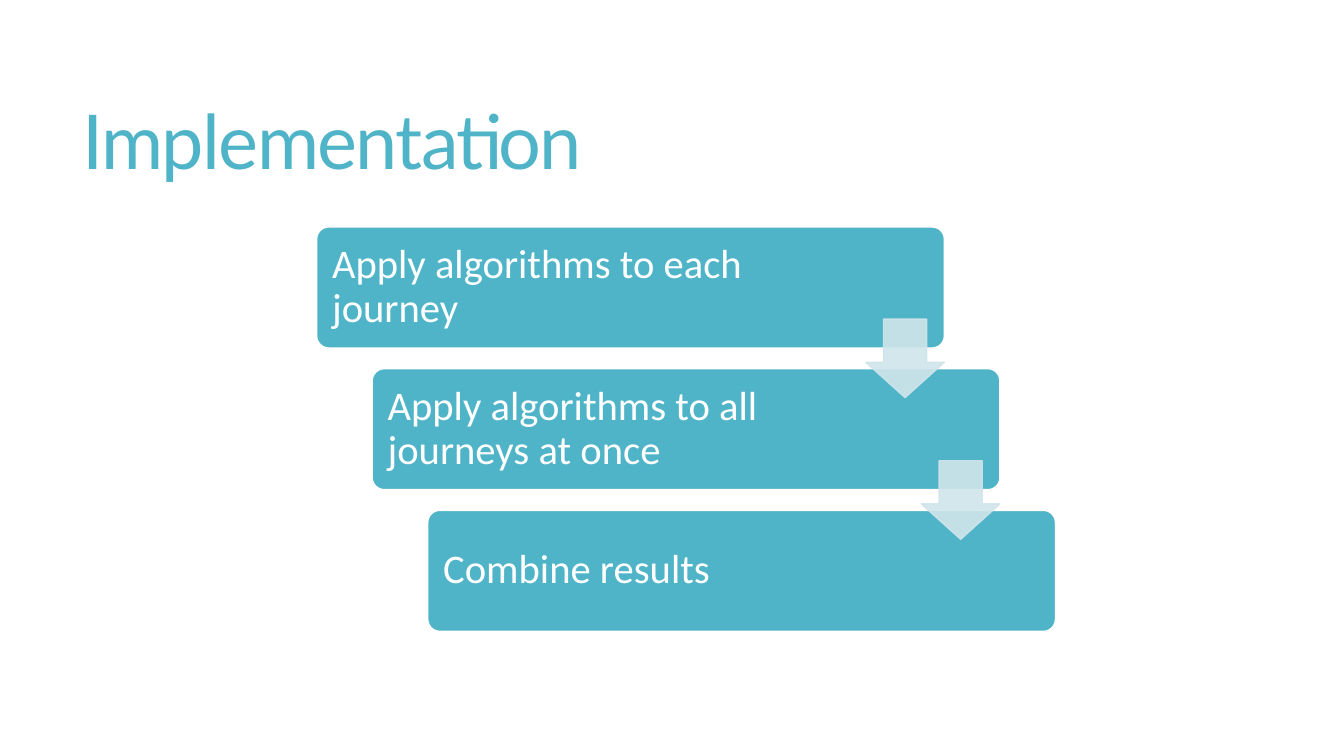
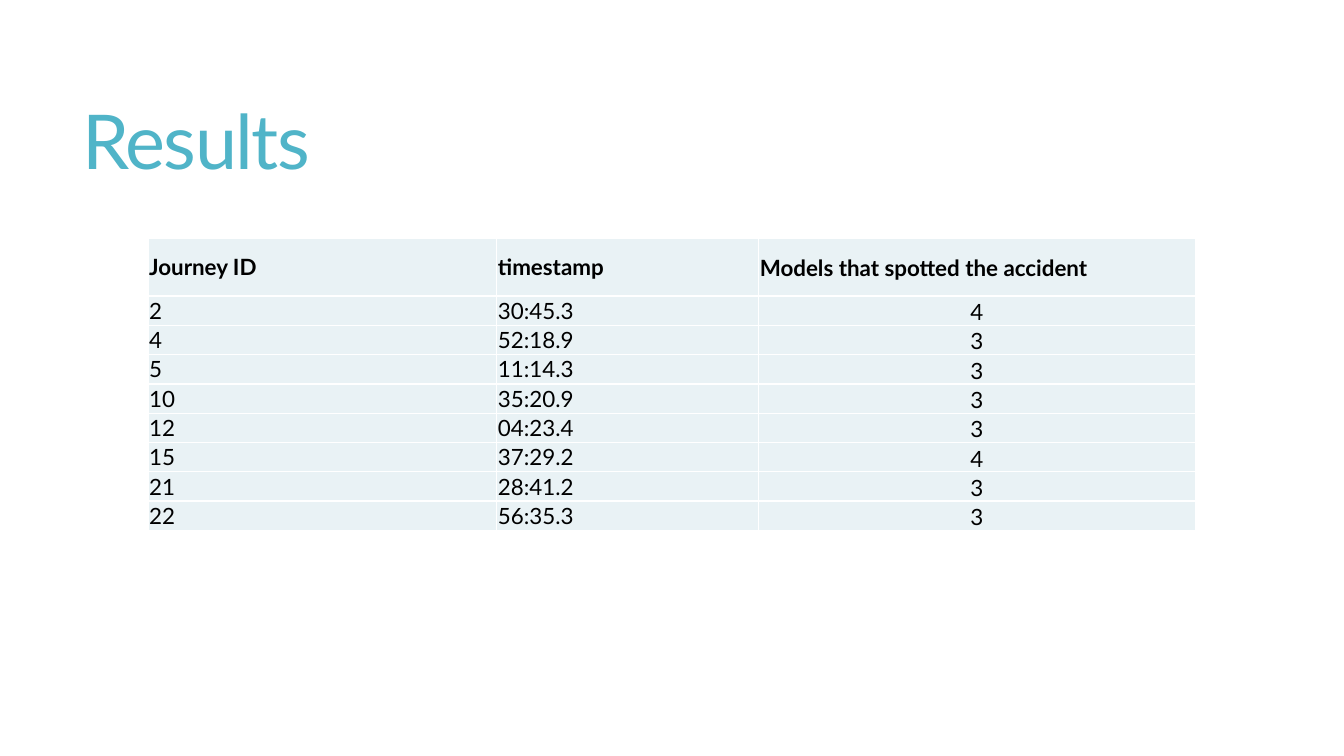
from dataclasses import dataclass

from lxml import etree
from pptx import Presentation, util as u
from pptx.dml.color import RGBColor
from pptx.enum import shapes, text
from pptx.oxml.ns import qn

STEPS = [
    "Apply algorithms to each journey",
    "Apply algorithms to all journeys at once",
    "Combine results",
]
HEADER = ("Journey ID", "timestamp", "Models that spotted the accident")
ACCIDENTS = [
    ("2", "30:45.3", "4"),
    ("4", "52:18.9", "3"),
    ("5", "11:14.3", "3"),
    ("10", "35:20.9", "3"),
    ("12", "04:23.4", "3"),
    ("15", "37:29.2", "4"),
    ("21", "28:41.2", "3"),
    ("22", "56:35.3", "3"),
]


@dataclass(frozen=True)
class Theme:
    accent: str = "50B4C8"
    pale: str = "D0E5EB"
    cell: str = "E9F2F5"
    white: str = "FFFFFF"
    ink: str = "000000"
    heading_font: str = "Lato"
    step_font: str = "Calibri"
    title_size: int = 54
    step_size: int = 29
    table_size: int = 16
    line_width: int = 1


THEME = Theme()


def style(para, font, size, color, bold=False):
    para.font.name = font
    para.font.size = u.Pt(size)
    para.font.bold = bold
    para.font.color.rgb = RGBColor.from_string(color)


def set_margins(frame, left, top, right, bottom):
    frame.margin_left, frame.margin_top = u.Cm(left), u.Cm(top)
    frame.margin_right, frame.margin_bottom = u.Cm(right), u.Cm(bottom)


def add_titled_slide(deck, title):
    page = deck.slides.add_slide(deck.slide_layouts[6])
    box = page.shapes.add_textbox(u.Cm(1.83), u.Cm(1.4), u.Cm(29.92), u.Cm(4.6))
    frame = box.text_frame
    frame.word_wrap = True
    frame.vertical_anchor = text.MSO_ANCHOR.MIDDLE
    para = frame.paragraphs[0]
    para.line_spacing = 0.85
    style(para, THEME.heading_font, THEME.title_size, THEME.accent)
    span = para.add_run()
    span.text = title
    span._r.get_or_add_rPr().set("spc", "-120")
    return page


def add_block(page, kind, left, top, width, height, adjustments, fill, line):
    block = page.shapes.add_shape(kind, u.Cm(left), u.Cm(top), u.Cm(width), u.Cm(height))
    block.shadow.inherit = False
    for index, value in enumerate(adjustments):
        block.adjustments[index] = value
    block.fill.solid()
    block.fill.fore_color.rgb = RGBColor.from_string(fill)
    block.line.color.rgb = RGBColor.from_string(line)
    block.line.width = u.Pt(THEME.line_width)
    return block


def add_step(page, label, left, top, width, height):
    card = add_block(page, shapes.MSO_SHAPE.ROUNDED_RECTANGLE, left, top, width, height,
                     [0.1], THEME.accent, THEME.white)
    frame = card.text_frame
    frame.word_wrap = True
    frame.vertical_anchor = text.MSO_ANCHOR.MIDDLE
    set_margins(frame, 0.3, 0.3, 3.6, 0.3)
    para = frame.paragraphs[0]
    para.text = label
    para.alignment = text.PP_ALIGN.LEFT
    para.line_spacing = 0.9
    style(para, THEME.step_font, THEME.step_size, THEME.white)


def add_step_arrow(page, left, top, size):
    arrow = add_block(page, shapes.MSO_SHAPE.DOWN_ARROW, left, top, size, size,
                      [0.55, 0.45], THEME.pale, THEME.pale)
    for color in arrow._element.spPr.iter(qn("a:srgbClr")):
        etree.SubElement(color, qn("a:alpha"), val="90000")


def add_staircase(page, steps):
    left, top, width, height = 7.98, 5.72, 15.82, 3.05
    shift, pitch = 1.4, 3.57
    arrow_size, arrow_drop = 1.98, 2.32
    corners = [(left + i * shift, top + i * pitch) for i in range(len(steps))]
    for label, (x, y) in zip(steps, corners):
        add_step(page, label, x, y, width, height)
    for x, y in corners[:-1]:
        add_step_arrow(page, x + width - arrow_size, y + arrow_drop, arrow_size)


def add_borders(cell):
    props = cell._tc.get_or_add_tcPr()
    for index, side in enumerate(("lnL", "lnR", "lnT", "lnB")):
        line = etree.Element(qn(f"a:{side}"), w=str(u.Pt(THEME.line_width)))
        fill = etree.SubElement(line, qn("a:solidFill"))
        etree.SubElement(fill, qn("a:srgbClr"), val=THEME.white)
        props.insert(index, line)


def fill_cell(cell, content, heading, count):
    cell.fill.solid()
    cell.fill.fore_color.rgb = RGBColor.from_string(THEME.cell)
    set_margins(cell, 0.03, 0.03, 0.03, 0 if count else 0.03)
    centred = count and not heading
    cell.vertical_anchor = text.MSO_ANCHOR.BOTTOM if centred else text.MSO_ANCHOR.MIDDLE
    para = cell.text_frame.paragraphs[0]
    para.text = content
    para.alignment = text.PP_ALIGN.CENTER if centred else text.PP_ALIGN.JUSTIFY
    style(para, THEME.heading_font, THEME.table_size, THEME.ink, heading)
    add_borders(cell)


def add_results(page, header, records):
    widths = (8.79, 6.6, 11)
    row_height = 0.73
    heights = [2 * row_height] + [row_height] * len(records)
    table = page.shapes.add_table(len(heights), len(widths), u.Cm(3.73), u.Cm(6),
                                  u.Cm(sum(widths)), u.Cm(sum(heights))).table
    for column, width in zip(table.columns, widths):
        column.width = u.Cm(width)
    for row, height in zip(table.rows, heights):
        row.height = u.Cm(height)
    for r, record in enumerate([header] + records):
        for c, content in enumerate(record):
            fill_cell(table.cell(r, c), content, r == 0, c == len(widths) - 1)


deck = Presentation()
deck.slide_width, deck.slide_height = u.Cm(33.87), u.Cm(19.05)
add_staircase(add_titled_slide(deck, "Implementation"), STEPS)
add_results(add_titled_slide(deck, "Results"), HEADER, ACCIDENTS)
deck.save("out.pptx")
